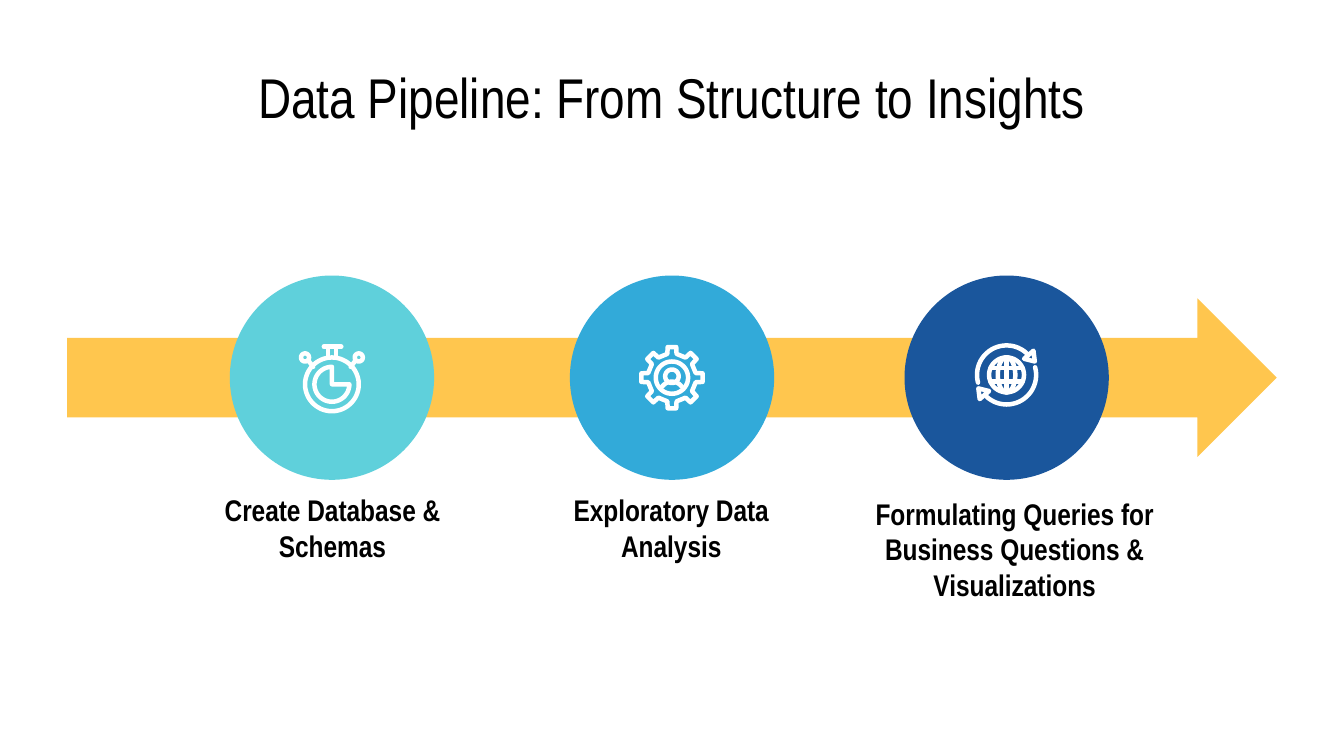
import math

import pptx
import pptx.dml.color
import pptx.enum.shapes
import pptx.enum.text
import pptx.oxml
import pptx.util
from pptx.util import Inches

# Content
TITLE = "Data Pipeline: From Structure to Insights"
FONT = "Arial Narrow"
BLACK, WHITE, ARROW_COLOUR = "000000", "FFFFFF", "FFC64E"
STEPS = [
    # caption, caption box, circle left, circle colour, icon name, icon centre
    ("Create Database & Schemas", (1.36, 3.54, 2.23, 0.77),
     1.71, "5FD0DB", "stopwatch", (2.47, 2.86)),
    ("Exploratory Data Analysis", (3.88, 3.54, 2.23, 0.77),
     4.24, "32AAD9", "gear", (5, 2.81)),
    ("Formulating Queries for Business Questions & Visualizations", (6.17, 3.7, 2.76, 0.77),
     6.73, "1A569C", "globe", (7.49, 2.79)),
]
CIRCLE_TOP, CIRCLE_SIZE = 2.05, 1.52
STROKE = 2.4


def polar(radius, degrees):
    angle = math.radians(degrees)
    return radius * math.cos(angle), radius * math.sin(angle)


def arc(radius, start, end, x=0, y=0, squeeze=1):
    """Points along an arc, in degrees clockwise from the right."""
    count = abs(end - start) // 6
    points = [polar(radius, start + (end - start) * i / count) for i in range(count + 1)]
    return [(x + squeeze * across, y + down) for across, down in points]


def ring(radius, x=0, y=0, squeeze=1):
    return arc(radius, 0, 360, x, y, squeeze)


def closed(points):
    return points + points[:1]


def mirror(points):
    return [(-x, y) for x, y in points]


def opposite(points):
    return [(-x, -y) for x, y in points]


# Icons: each is a list of parts, each part a list of lines, in inches from the centre
GEAR_TOOTH = [(0.18, -11), (0.23, -8), (0.23, 8), (0.18, 11)]
KNOB_LINK = [(-0.17, -0.17), (-0.14, -0.13)]
STEM = [(-0.03, -0.28), (-0.03, -0.2)]
CYCLE_ARC = arc(0.22, 165, 313)
CYCLE_HEAD = closed([(0.13, -0.12), (0.2, -0.18), (0.21, -0.1)])
ICONS = {
    "stopwatch": [
        [ring(0.2), ring(0.03, -0.2, -0.2), ring(0.03, 0.2, -0.2),
         KNOB_LINK, mirror(KNOB_LINK), STEM, mirror(STEM), [(-0.06, -0.28), (0.07, -0.28)]],
        [closed([(0, 0)] + arc(0.13, 0, 270))],
    ],
    "gear": [
        [ring(0.12), ring(0.05, y=-0.01), arc(0.09, 215, 325, y=0.12)],
        [closed([polar(radius, 45 * tooth + angle)
                 for tooth in range(8) for radius, angle in GEAR_TOOTH])],
    ],
    "globe": [
        [CYCLE_ARC, CYCLE_HEAD],
        [opposite(CYCLE_ARC), opposite(CYCLE_HEAD)],
        [ring(0.13), ring(0.13, squeeze=0.5), [(0, -0.13), (0, 0.13)],
         [(-0.12, -0.05), (0.12, -0.05)], [(-0.12, 0.05), (0.12, 0.05)]],
    ],
}


def colour(hex_string):
    return pptx.dml.color.RGBColor.from_string(hex_string)


def add_text(slide, text, box, size, bold=False, inset=0.1):
    frame = slide.shapes.add_textbox(*map(Inches, box)).text_frame
    frame.word_wrap = True
    frame.vertical_anchor = pptx.enum.text.MSO_ANCHOR.MIDDLE
    frame.margin_left = frame.margin_right = Inches(inset)
    frame.margin_top = frame.margin_bottom = Inches(inset)
    paragraph = frame.paragraphs[0]
    paragraph.alignment = pptx.enum.text.PP_ALIGN.CENTER
    run = paragraph.add_run()
    run.text = text
    run.font.name = FONT
    run.font.size = pptx.util.Pt(size)
    run.font.bold = bold
    run.font.color.rgb = colour(BLACK)


def add_filled(slide, kind, box, fill):
    shape = slide.shapes.add_shape(kind, *map(Inches, box))
    shape.shadow.inherit = False
    shape.fill.solid()
    shape.fill.fore_color.rgb = colour(fill)
    shape.line.fill.background()


def style_stroke(shape):
    shape.shadow.inherit = False
    shape.fill.background()
    shape.line.color.rgb = colour(WHITE)
    shape.line.width = pptx.util.Pt(STROKE)
    # Round line ends and corners
    line = shape.line._get_or_add_ln()
    line.set("cap", "rnd")
    line.append(pptx.oxml.parse_xml(
        '<a:round xmlns:a="http://schemas.openxmlformats.org/drawingml/2006/main"/>'))


def add_icon(slide, parts, centre_x, centre_y):
    shapes = slide.shapes.add_group_shape().shapes
    for part in parts:
        lines = [[(Inches(centre_x + x), Inches(centre_y + y)) for x, y in line]
                 for line in part]
        builder = shapes.build_freeform(*lines[0][0])
        for index, line in enumerate(lines):
            if index:
                builder.move_to(*line[0])
            builder.add_line_segments(line[1:], close=False)
        style_stroke(builder.convert_to_shape())


presentation = pptx.Presentation()
presentation.slide_width = Inches(10)
presentation.slide_height = Inches(10) * 9 // 16
slide = presentation.slides.add_slide(presentation.slide_layouts[6])

# Title and arrow
add_text(slide, TITLE, (0.5, 0.45, 9, 0.53), size=30)
add_filled(slide, pptx.enum.shapes.MSO_SHAPE.RIGHT_ARROW, (0.5, 2.22, 9, 1.18), ARROW_COLOUR)

# Steps
for caption, caption_box, left, fill, icon_name, centre in STEPS:
    circle_box = (left, CIRCLE_TOP, CIRCLE_SIZE, CIRCLE_SIZE)
    add_filled(slide, pptx.enum.shapes.MSO_SHAPE.OVAL, circle_box, fill)
    add_text(slide, caption, caption_box, size=16, bold=True, inset=0.25)
    add_icon(slide, ICONS[icon_name], *centre)

presentation.save("out.pptx")
